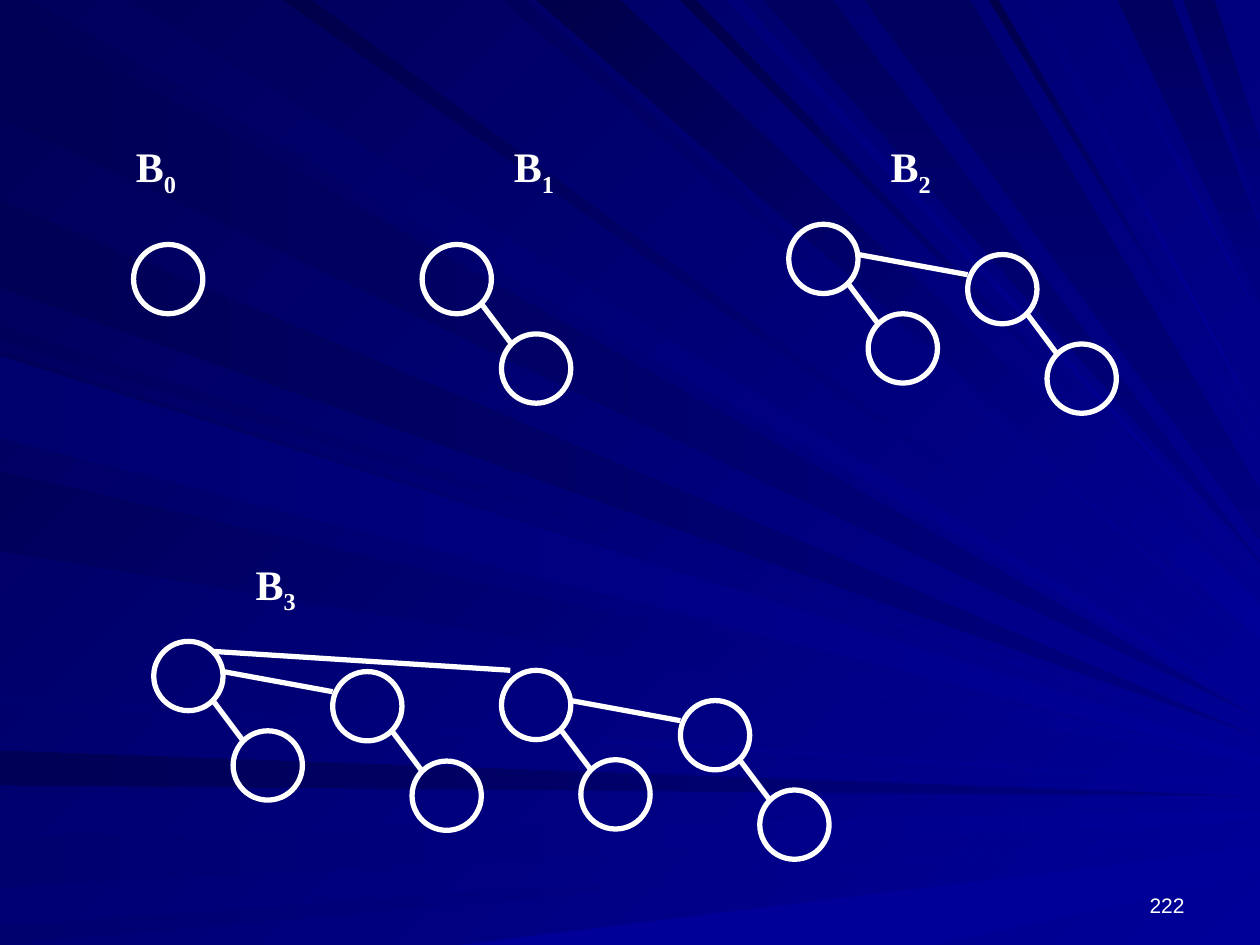
from lxml import etree
from pptx import Presentation
from pptx.dml.color import RGBColor
from pptx.enum import shapes, text
from pptx.oxml.ns import qn
from pptx.util import Inches, Pt

WHITE = "FFFFFF"
WIDTH, HEIGHT = 10, 7.5
NODE = 0.55

# Rays run from a span of one slide edge to the right edge: span start, span end, tip
# and, where the tip is blunt, its lower end. Each group shares edge, colours and angle.
RAY_GROUPS = [
    ("left", "000080", "000055", 180, [(0.02, 0.93, 5.7), (1.59, 2.28, 5.85), (5.96, 6.23, 6.32)]),
    ("left", "000099", "00005A", 225, [(2.58, 2.7, 5.89), (2.78, 3.42, 6), (3.74, 4.37, 6.06)]),
    ("top", "000099", "00005C", 225, [(0.26, 1.01, 5.63), (3.98, 4.16, 5.18)]),
    ("top", "000099", "00004A", 225, [(4.26, 4.92, 4.79, 5.07), (5.4, 5.52, 4.63),
                                      (2.25, 2.47, 5.5), (7.85, 7.92, 3.57)]),
    ("top", "00005E", "000080", 90, [(6.06, 6.61, 4.46), (8.87, 9.3, 1.83, 2.37),
                                     (9.39, 9.64, 1.14, 1.67), (6.86, 7.7, 3.9, 4.28)]),
    ("top", "000099", "000078", 225, [(5.77, 5.88, 4.54), (8.15, 8.24, 3.36), (8.65, 8.72, 2.54)]),
    ("bottom", "000099", "000099", 180, [(3.64, 7.42, 6.72, 6.94)]),
    ("left", "000099", "00006E", 180, [(6.65, 7.04, 6.43, 6.51), (7.35, 7.5, 6.62),
                                       (5.52, 5.6, 6.22), (2.83, 3.47, 6.01, 6.06)]),
]

# By rank of the subtree: child offset, then edge start and end, all from the parent's box
BRANCHES = [
    ((0.63, 0.71), (0.47, 0.47), (0.71, 0.79)),
    ((1.42, 0.24), (0.55, 0.24), (1.42, 0.4)),
    ((2.76, 0.23), (0.47, 0.08), (2.83, 0.23)),
]

# Label corner and root corner of B0 to B3
TREES = [
    ((0.98, 1.07), (1.06, 1.94)),
    ((3.98, 1.07), (3.35, 1.94)),
    ((6.97, 1.07), (6.26, 1.78)),
    ((1.93, 4.38), (1.22, 5.09)),
]


def color(hex_string):
    return RGBColor.from_string(hex_string)


def set_gradient(fill, first, last, clockwise_angle):
    fill.gradient()
    fill.gradient_angle = 360 - clockwise_angle
    for stop, hex_string in zip(fill.gradient_stops, (first, last)):
        stop.color.rgb = color(hex_string)


def set_line(line):
    line.color.rgb = color(WHITE)
    line.width = Pt(3)


def set_font(font, name, size, bold=False):
    font.name = name
    font.size = Pt(size)
    font.bold = bold
    font.color.rgb = color(WHITE)


def ray_corners(edge, start, end, *tips):
    if edge == "left":
        # The lower end of the span meets the lower end of the tip
        base = [(0, end), (0, start)]
    else:
        y = 0 if edge == "top" else HEIGHT
        base = [(start, y), (end, y)]
    if edge == "bottom":
        tips = reversed(tips)
    return [(Inches(x), Inches(y)) for x, y in base + [(WIDTH, tip) for tip in tips]]


def add_background(slide):
    set_gradient(slide.background.fill, "000099", "000057", 225)
    for edge, first, last, angle, rays in RAY_GROUPS:
        for spans in rays:
            start, *rest = ray_corners(edge, *spans)
            outline = slide.shapes.build_freeform(*start)
            outline.add_line_segments(rest, close=True)
            ray = outline.convert_to_shape()
            set_gradient(ray.fill, first, last, angle)
            ray.line.fill.background()
            ray.shadow.inherit = False


def add_node(slide, x, y):
    node = slide.shapes.add_shape(shapes.MSO_SHAPE.OVAL, Inches(x), Inches(y),
                                  Inches(NODE), Inches(NODE))
    node.fill.background()
    set_line(node.line)
    node.shadow.inherit = False


def add_edge(slide, x, y, start, end):
    edge = slide.shapes.add_connector(
        shapes.MSO_CONNECTOR.STRAIGHT,
        Inches(x + start[0]), Inches(y + start[1]), Inches(x + end[0]), Inches(y + end[1]))
    set_line(edge.line)
    etree.SubElement(edge._element.spPr, qn("a:effectLst"))


def add_tree(slide, rank, x, y):
    """Draw a binomial tree: a root whose children head trees of every lower rank."""
    add_node(slide, x, y)
    for child_rank, ((dx, dy), start, end) in enumerate(BRANCHES[:rank]):
        add_tree(slide, child_rank, x + dx, y + dy)
        add_edge(slide, x, y, start, end)


def add_label(slide, rank, x, y):
    box = slide.shapes.add_textbox(Inches(x), Inches(y), Inches(0.79), Inches(0.56))
    frame = box.text_frame
    frame.word_wrap = True
    frame.auto_size = text.MSO_AUTO_SIZE.SHAPE_TO_FIT_TEXT
    label = frame.paragraphs[0]
    label.add_run().text = "B"
    subscript = label.add_run()
    subscript.text = str(rank)
    subscript._r.get_or_add_rPr().set("baseline", "-25000")
    set_font(label.font, "Times New Roman", 24, bold=True)


def add_page_number(slide, x, y):
    box = slide.shapes.add_textbox(Inches(x), Inches(y), Inches(2.33), Inches(0.5))
    frame = box.text_frame
    frame.word_wrap = True
    frame.vertical_anchor = text.MSO_ANCHOR.BOTTOM
    number = frame.paragraphs[0]
    number.text = "222"
    number.alignment = text.PP_ALIGN.RIGHT
    set_font(number.font, "Arial", 12)


def main():
    prs = Presentation()
    prs.slide_width, prs.slide_height = Inches(WIDTH), Inches(HEIGHT)
    slide = prs.slides.add_slide(prs.slide_layouts[6])
    add_background(slide)
    for rank, (label_corner, root_corner) in enumerate(TREES):
        add_label(slide, rank, *label_corner)
        add_tree(slide, rank, *root_corner)
    add_page_number(slide, 7.17, 6.83)
    prs.save("out.pptx")


if __name__ == "__main__":
    main()
